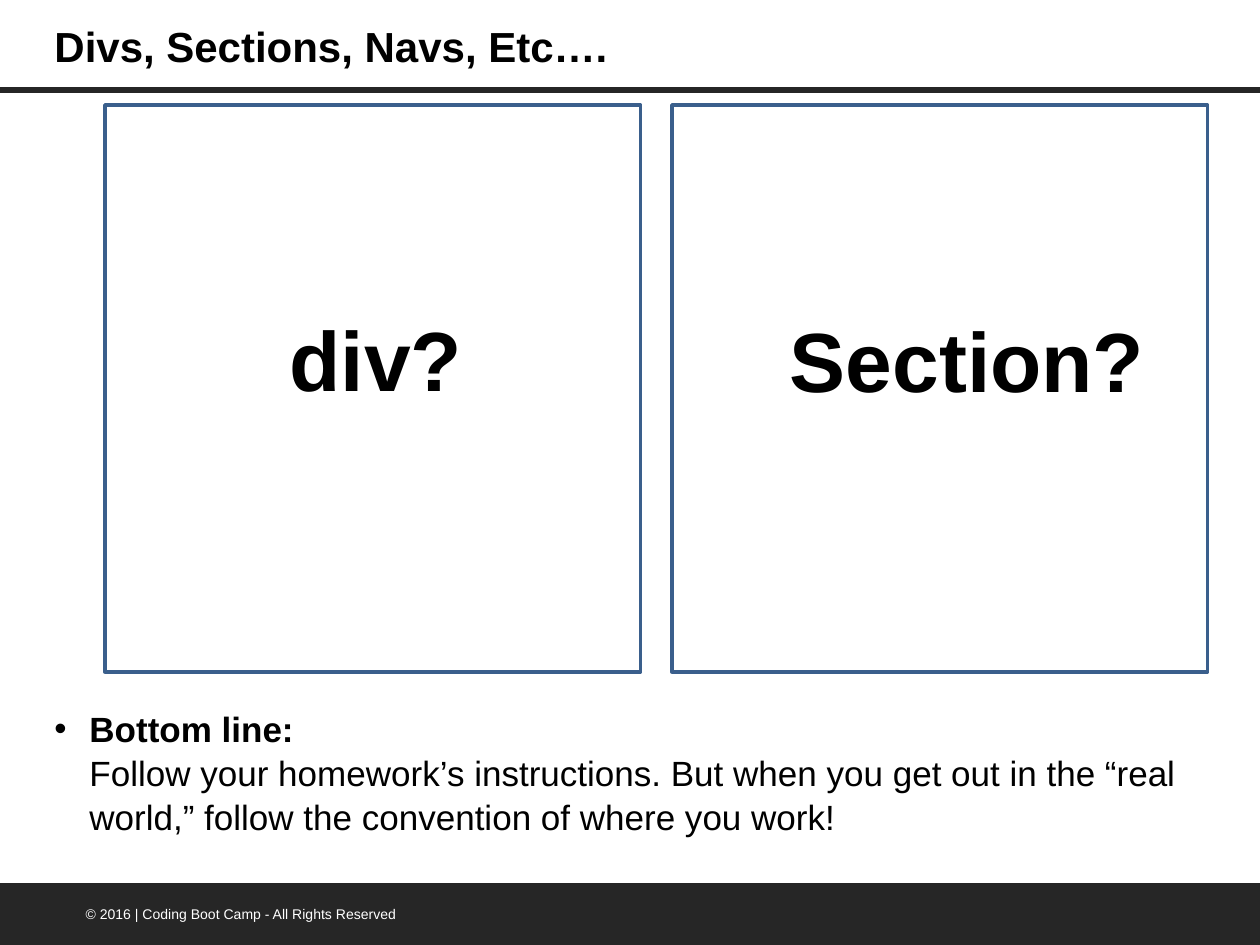
"""Build the slide that compares div and section elements."""
from dataclasses import dataclass

from lxml.etree import SubElement
from pptx import Presentation
from pptx.dml.color import RGBColor
from pptx.enum.shapes import MSO_CONNECTOR, MSO_SHAPE
from pptx.enum.text import MSO_ANCHOR
from pptx.oxml.ns import qn
from pptx.util import Pt


@dataclass(frozen=True)
class Theme:
    font: str = "Arial"
    ink: str = "000000"
    paper: str = "FFFFFF"
    bar: str = "262626"
    frame: str = "3A5F8C"
    footer_size: int = 8
    body_size: int = 20
    title_size: int = 24
    answer_size: int = 48


def write_text(frame, *lines, font, size, color, bold=False, bullet=None,
               indent=0, spacing=None):
    paragraph = frame.paragraphs[0]
    if bullet:
        properties = paragraph._p.get_or_add_pPr()
        properties.set("marL", str(Pt(indent)))
        properties.set("indent", str(-Pt(indent)))
        SubElement(properties, qn("a:buFont")).set("typeface", font)
        SubElement(properties, qn("a:buChar")).set("char", bullet)
    if spacing:
        paragraph.line_spacing = spacing
    for number, line in enumerate(lines):
        if number:
            paragraph.add_line_break()
        run = paragraph.add_run()
        run.text = line
        run.font.name = font
        run.font.size = Pt(size)
        run.font.bold = bold and number == 0
        run.font.color.rgb = RGBColor.from_string(color)


class SlideBuilder:
    def __init__(self, slide, theme):
        self.slide = slide
        self.theme = theme
        background = slide.background.fill
        background.solid()
        background.fore_color.rgb = RGBColor.from_string(theme.paper)

    def rule(self, y, width, weight):
        divider = self.slide.shapes.add_connector(
            MSO_CONNECTOR.STRAIGHT, 0, Pt(y), Pt(width), Pt(y))
        divider.line.color.rgb = RGBColor.from_string(self.theme.bar)
        divider.line.width = Pt(weight)
        SubElement(divider._element.spPr, qn("a:effectLst"))

    def panel(self, left, top, width, height, kind=MSO_SHAPE.RECTANGLE,
              fill=None, outline=None):
        panel = self.slide.shapes.add_shape(
            kind, Pt(left), Pt(top), Pt(width), Pt(height))
        panel.shadow.inherit = False
        if fill:
            panel.fill.solid()
            panel.fill.fore_color.rgb = RGBColor.from_string(fill)
        else:
            panel.fill.background()
        if outline:
            panel.line.color.rgb = RGBColor.from_string(outline)
            panel.line.width = Pt(2)
        else:
            panel.line.fill.background()

    def text(self, left, top, width, height, *lines, wrap=True, inset=3.6,
             color=None, **style):
        box = self.slide.shapes.add_textbox(
            Pt(left), Pt(top), Pt(width), Pt(height))
        frame = box.text_frame
        frame.word_wrap = wrap
        frame.vertical_anchor = MSO_ANCHOR.TOP
        frame.margin_top = frame.margin_bottom = Pt(inset)
        write_text(frame, *lines, font=self.theme.font,
                   color=color or self.theme.ink, **style)


def main():
    theme = Theme()
    deck = Presentation()
    deck.slide_width, deck.slide_height = Pt(720), Pt(540)
    builder = SlideBuilder(deck.slides.add_slide(deck.slide_layouts[6]), theme)

    builder.rule(51.5, 720, 3.25)
    builder.panel(-0.5, 504.5, 720.5, 36, MSO_SHAPE.FLOWCHART_PROCESS,
                  fill=theme.bar)
    builder.text(41.8, 514, 219.6, 17,
                 "© 2016 | Coding Boot Camp - All Rights Reserved",
                 size=theme.footer_size, color=theme.paper)
    builder.text(24, 8, 450, 36, "Divs, Sections, Navs, Etc….",
                 size=theme.title_size, bold=True)
    builder.text(24, 396, 687.5, 96, "Bottom line: ",
                 "Follow your homework’s instructions. But when you get out "
                 "in the “real world,” follow the convention of where you work!",
                 size=theme.body_size, bold=True, inset=7.2, bullet="•",
                 indent=20, spacing=1.05)

    panel_width, gap = 306, 18
    answers = [("div?", 158.4, 172, 114.5), ("Section?", 444.3, 172.8, 219.6)]
    for column, (answer, left, top, width) in enumerate(answers):
        builder.panel(60 + column * (panel_width + gap), 60, panel_width, 324,
                      outline=theme.frame)
        builder.text(left, top, width, 65.5, answer, wrap=False,
                     size=theme.answer_size, bold=True)

    deck.save("out.pptx")


if __name__ == "__main__":
    main()
